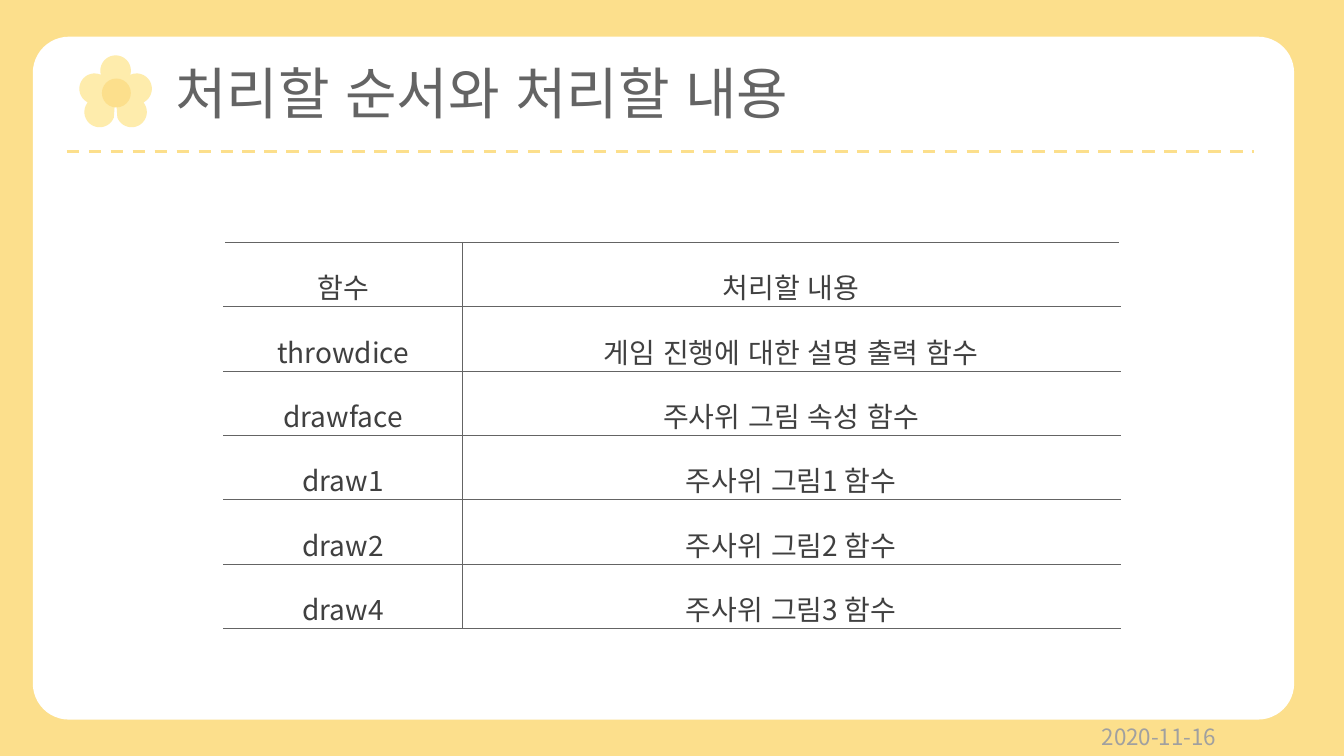
import math

import pptx
import pptx.util
import pptx.dml.color
import pptx.enum.dml
import pptx.enum.lang
import pptx.enum.shapes
import pptx.enum.text
from lxml import etree

Pt = pptx.util.Pt
RGB = pptx.dml.color.RGBColor.from_string
SHAPE = pptx.enum.shapes.MSO_SHAPE
ALIGN = pptx.enum.text.PP_ALIGN
ANCHOR = pptx.enum.text.MSO_ANCHOR
A = "{http://schemas.openxmlformats.org/drawingml/2006/main}"

THEME = {
    "font": "Noto Sans CJK KR",
    "yellow": "FCDF8C", "petal": "FEECAC", "white": "FFFFFF",
    "title": "646464", "rule": "646464", "body": "404040", "date": "A0A0A0",
    "title_size": 40, "body_size": 20, "date_size": 16,
}


def write(tf, text, size, color, align=ALIGN.LEFT, spacing=None):
    p = tf.paragraphs[0]
    p.alignment = align
    p.line_spacing = spacing
    r = p.add_run()
    r.text = text
    r.font.size = Pt(size)
    r.font.color.rgb = RGB(color)
    r.font.name = THEME["font"]
    r.font.language_id = pptx.enum.lang.MSO_LANGUAGE_ID.KOREAN
    etree.SubElement(r.font._element, A + "ea", typeface=THEME["font"])


def paint(sp, color):
    """Give a shape a flat fill, no outline and no shadow."""
    sp.shadow.inherit = False
    sp.fill.solid()
    sp.fill.fore_color.rgb = RGB(color)
    sp.line.fill.background()


prs = pptx.Presentation()
prs.slide_width, prs.slide_height = Pt(960), Pt(540)
s = prs.slides.add_slide(prs.slide_layouts[6])

# Yellow frame around a rounded white card
s.background.fill.solid()
s.background.fill.fore_color.rgb = RGB(THEME["yellow"])
card = s.shapes.add_shape(SHAPE.ROUNDED_RECTANGLE, Pt(23.4), Pt(26.2), Pt(901), Pt(487.8))
card.adjustments[0] = 0.053
paint(card, THEME["white"])

# Title and date
labels = [
    (118.1, 38.2, 555, 55.4, "처리할 순서와 처리할 내용", "title", ALIGN.LEFT),
    (779.8, 513, 108.7, 26.6, "2020-11-16", "date", ALIGN.JUSTIFY),
]
for x, y, w, h, text, role, align in labels:
    tf = s.shapes.add_textbox(Pt(x), Pt(y), Pt(w), Pt(h)).text_frame
    tf.word_wrap = True
    tf.vertical_anchor = ANCHOR.MIDDLE
    tf.margin_top = tf.margin_bottom = 0
    write(tf, text, THEME[role + "_size"], THEME[role], align)

# Dashed rule under the title
rule = s.shapes.add_connector(
    pptx.enum.shapes.MSO_CONNECTOR.STRAIGHT, Pt(47.8), Pt(108.4), Pt(895.7), Pt(108.4))
rule.line.color.rgb = RGB(THEME["yellow"])
rule.line.width = Pt(2.25)
rule.line.dash_style = pptx.enum.dml.MSO_LINE.DASH
etree.SubElement(rule._element.spPr, A + "effectLst")

# Flower: the outer outline of five round petals, then the heart
flower = s.shapes.add_group_shape()
flower_x, flower_y, petal_r = 82.6, 66, 10.9
petals = [(0, -15.5), (15, -2.6), (11.4, 14), (-11.4, 14), (-15, -2.6)]
outline = []
for degree in range(0, 360, 2):
    ux, uy = math.cos(math.radians(degree)), math.sin(math.radians(degree))
    reach = 0
    for px, py in petals:
        along, across = px * ux + py * uy, px * uy - py * ux
        if abs(across) <= petal_r:
            reach = max(reach, along + math.sqrt(petal_r ** 2 - across ** 2))
    outline.append((Pt(flower_x + reach * ux), Pt(flower_y + reach * uy)))
builder = flower.shapes.build_freeform(*outline[0])
builder.add_line_segments(outline[1:], close=True)
paint(builder.convert_to_shape(), THEME["petal"])
heart = flower.shapes.add_shape(SHAPE.OVAL, Pt(72.8), Pt(56.1), Pt(20.7), Pt(20.7))
paint(heart, THEME["yellow"])

# Function table, open on its left and right sides
rows = [
    ("함수", "처리할 내용"),
    ("throwdice", "게임 진행에 대한 설명 출력 함수"),
    ("drawface", "주사위 그림 속성 함수"),
    ("draw1", "주사위 그림1 함수"),
    ("draw2", "주사위 그림2 함수"),
    ("draw4", "주사위 그림3 함수"),
]
row_h = 45.95
table = s.shapes.add_table(
    len(rows), 2, Pt(160), Pt(173.2), Pt(640), Pt(row_h * len(rows))).table
table.first_row = table.horz_banding = False
table.columns[0].width, table.columns[1].width = Pt(170.2), Pt(469.8)
for i, texts in enumerate(rows):
    table.rows[i].height = Pt(row_h)
    for j, text in enumerate(texts):
        cell = table.cell(i, j)
        cell.fill.background()
        cell.vertical_anchor = ANCHOR.BOTTOM
        cell.margin_top = cell.margin_bottom = 0
        write(cell.text_frame, text, THEME["body_size"], THEME["body"], ALIGN.CENTER, 1.5)
        tcPr = cell._tc.get_or_add_tcPr()
        for k, side in enumerate(["lnR" if j == 0 else "lnL", "lnT", "lnB"]):
            ln = etree.Element(A + side, w=str(Pt(1)))
            fill = etree.SubElement(ln, A + "solidFill")
            etree.SubElement(fill, A + "srgbClr", val=THEME["rule"])
            tcPr.insert(k, ln)

prs.save("out.pptx")
